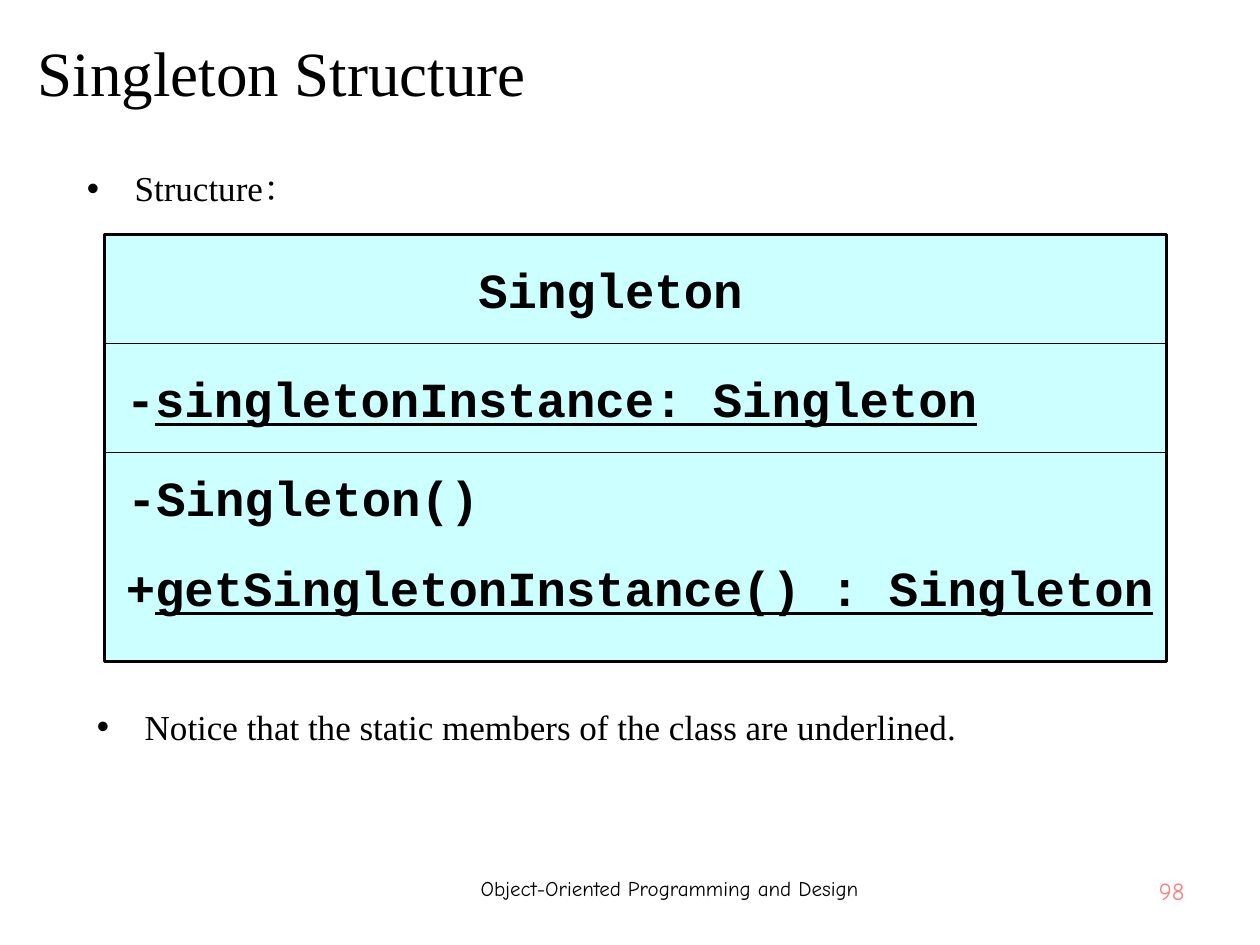
from dataclasses import dataclass

from lxml import etree
from pptx import Presentation
from pptx.dml.color import RGBColor
from pptx.enum.shapes import MSO_CONNECTOR, MSO_SHAPE
from pptx.enum.text import MSO_ANCHOR, MSO_AUTO_SIZE, PP_ALIGN
from pptx.oxml.ns import qn
from pptx.util import Emu, Inches, Pt

LEFT, MID, RIGHT = PP_ALIGN.LEFT, PP_ALIGN.CENTER, PP_ALIGN.RIGHT
TOP, MIDDLE = MSO_ANCHOR.TOP, MSO_ANCHOR.MIDDLE
STRAIGHT, RECT = MSO_CONNECTOR.STRAIGHT, MSO_SHAPE.RECTANGLE
NO_FIT = MSO_AUTO_SIZE.NONE

COLORS = {"ink": "000000", "box": "00FFFF", "page": "FF7C80"}
SERIF, MONO, HAND = "Times New Roman", "Courier New", "Comic Neue"
WIDE, HIGH = 10, 7.5
BOX_X, BOX_Y, BOX_W, BOX_H = 0.83, 1.86, 8.43, 3.39
ROW = 0.865  # height of the name row and of the field row
INDENT = 0.38


@dataclass
class Label:
    text: str
    x: float
    y: float
    w: float
    h: float
    font: str
    size: float
    color: str = "ink"
    align: PP_ALIGN = LEFT
    anchor: MSO_ANCHOR = TOP
    bold: bool = False
    static: str = ""  # underlined part after the text
    wrap: bool = True
    spacing: float = 1.0
    bullet: bool = False


LABELS = [
    Label("98", 8.39, 6.9, 1.11, 0.45, HAND, 14, "page", RIGHT),
    Label("Object-Oriented Programming and Design", 3.03, 6.9, 4.57, 0.45,
          HAND, 12, align=MID),
    Label("Notice that the static members of the class are underlined.",
          0.67, 5.48, 8.79, 1.18, SERIF, 20, spacing=1.2, bullet=True),
    Label("Structure：", 0.59, 1.31, 8.79, 0.63, SERIF, 20,
          spacing=0.9, bullet=True),
]


def member(text: str, y: float, static: str = "", x: float = 0.9,
           w: float = 8.19, **more) -> Label:
    return Label(text, x, y, w, 0.55, MONO, 28, anchor=MIDDLE, bold=True,
                 static=static, **more)


MEMBERS = [
    member("Singleton", 2.02, x=3.19, w=3.31, align=MID),
    member("-", 2.88, "singletonInstance: Singleton"),
    member("-Singleton()", 3.67, x=0.91),
    member("+", 4.38, "getSingletonInstance() : Singleton", w=8.27,
           wrap=False),
]


def tint(name: str) -> RGBColor:
    return RGBColor.from_string(COLORS[name])


def add_bullet(para) -> None:
    props = para._p.get_or_add_pPr()
    props.set("marL", str(Inches(INDENT)))
    props.set("indent", str(-Inches(INDENT)))
    etree.SubElement(props, qn("a:buFont")).set("typeface", "Arial")
    etree.SubElement(props, qn("a:buChar")).set("char", "•")


def fill_text(shape, label: Label) -> None:
    shape.left, shape.top = Inches(label.x), Inches(label.y)
    shape.width, shape.height = Inches(label.w), Inches(label.h)
    frame = shape.text_frame
    frame.text = label.text
    frame.word_wrap = label.wrap
    frame.auto_size = NO_FIT
    frame.vertical_anchor = label.anchor
    if not label.wrap:
        frame.margin_right = Emu(0)
    para = frame.paragraphs[0]
    para.alignment = label.align
    para.line_spacing = label.spacing
    if label.bullet:
        add_bullet(para)
    if label.static:
        run = para.add_run()
        run.text = label.static
        run.font.underline = True
    for run in para.runs:
        font = run.font
        font.name, font.size, font.bold = label.font, Pt(label.size), label.bold
        font.color.rgb = tint(label.color)
        east = etree.SubElement(run._r.get_or_add_rPr(), qn("a:ea"))
        east.set("typeface", label.font)


def add_label(shapes, label: Label) -> None:
    fill_text(shapes.add_textbox(0, 0, 0, 0), label)


def add_box(shapes) -> None:
    box = shapes.add_shape(RECT, *map(Inches, (BOX_X, BOX_Y, BOX_W, BOX_H)))
    box.shadow.inherit = False
    box.fill.solid()
    box.fill.fore_color.rgb = tint("box")
    shade = box._element.spPr.find(".//" + qn("a:srgbClr"))
    etree.SubElement(shade, qn("a:alpha")).set("val", "20000")
    box.line.color.rgb = tint("ink")
    box.line.width = Pt(2)


def add_rule(shapes, y: float) -> None:
    ends = BOX_X, y, BOX_X + BOX_W, y
    rule = shapes.add_connector(STRAIGHT, *map(Inches, ends))
    rule.line.color.rgb = tint("ink")
    rule.line.width = Pt(0.75)
    etree.SubElement(rule._element.spPr, qn("a:effectLst"))


def main() -> None:
    deck = Presentation()
    deck.slide_width, deck.slide_height = Inches(WIDE), Inches(HIGH)
    slide = deck.slides.add_slide(deck.slide_layouts.get_by_name("Title Only"))
    shapes = slide.shapes
    fill_text(shapes.title, Label("Singleton Structure", 0.2, 0.13, 9.61, 0.87,
                                  SERIF, 36, anchor=MIDDLE))
    for label in LABELS:
        add_label(shapes, label)
    add_box(shapes)
    for row in (1, 2):
        add_rule(shapes, BOX_Y + row * ROW)
    for label in MEMBERS:
        add_label(shapes, label)
    deck.save("out.pptx")


if __name__ == "__main__":
    main()
